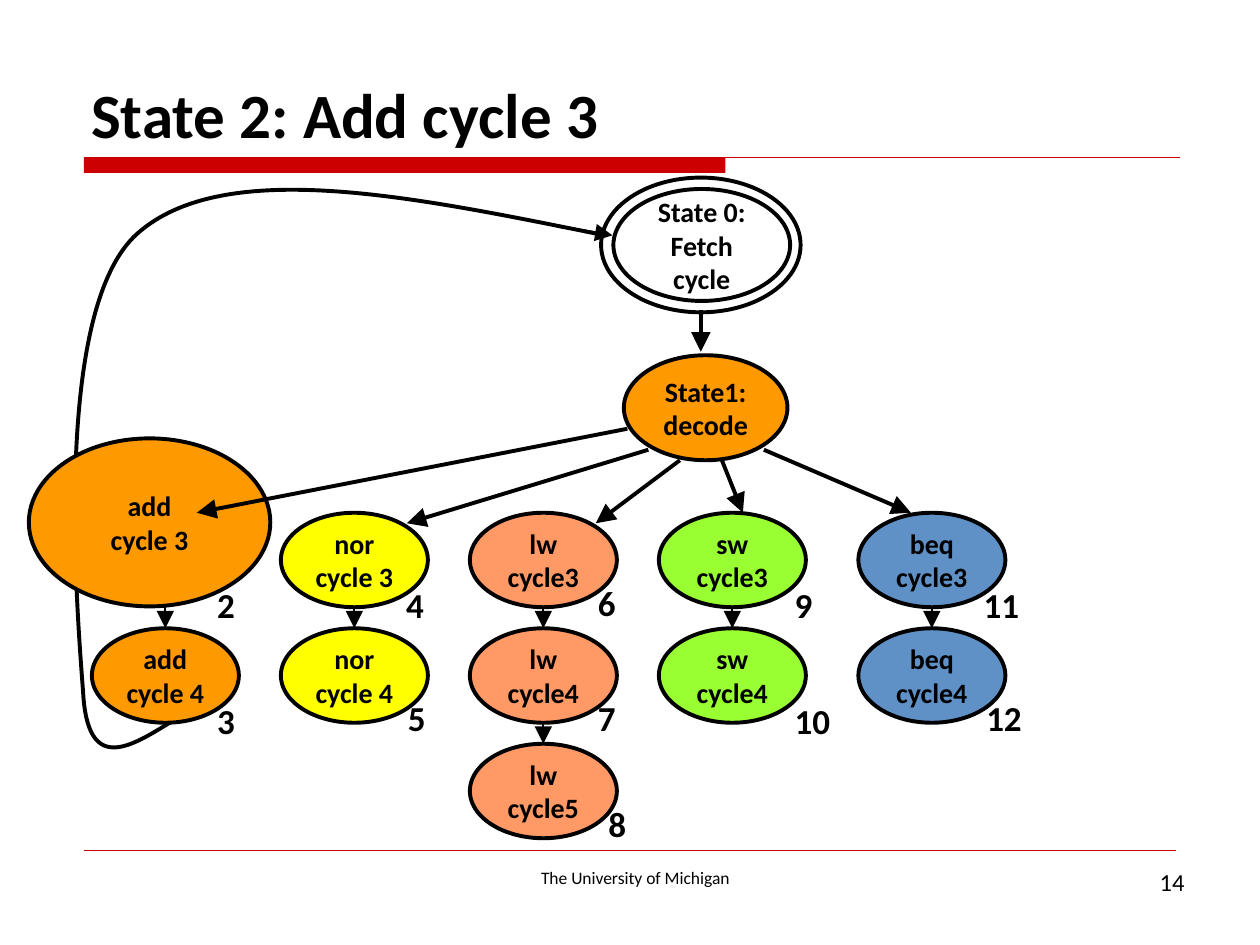
from lxml.etree import SubElement
from pptx import Presentation
from pptx.dml.color import RGBColor
from pptx.enum.shapes import MSO_CONNECTOR, MSO_SHAPE
from pptx.enum.text import MSO_ANCHOR, PP_ALIGN
from pptx.oxml.ns import qn
from pptx.util import Pt

BLACK = RGBColor(0x00, 0x00, 0x00)
WHITE = RGBColor(0xFF, 0xFF, 0xFF)
RED = RGBColor(0xCC, 0x00, 0x00)
ORANGE = RGBColor(0xFF, 0x99, 0x00)
YELLOW = RGBColor(0xFF, 0xFF, 0x00)
SALMON = RGBColor(0xFF, 0x99, 0x66)
GREEN = RGBColor(0x99, 0xFF, 0x33)
BLUE = RGBColor(0x5F, 0x91, 0xC7)

FONT = "Calibri"
NODE_WIDTH, NODE_HEIGHT = 84, 54
FIRST_ROW, ROW_STEP = 293, 66

INSTRUCTIONS = [
    (52.5, ORANGE, [None, "add\ncycle 4"]),
    (160.5, YELLOW, ["nor\ncycle 3", "nor\ncycle 4"]),
    (268.5, SALMON, ["lw\ncycle3", "lw\ncycle4", "lw\ncycle5"]),
    (376.5, GREEN, ["sw\ncycle3", "sw\ncycle4"]),
    (490.5, BLUE, ["beq\ncycle3", "beq\ncycle4"]),
]
LARGE_STATES = [
    ("add\ncycle 3", (16.5, 250.5, 138, 96), ORANGE),
    ("State 0:\nFetch cycle", (350.5, 108, 101, 64), None),
    ("", (343.5, 101.5, 114, 77), None),
    ("State1:\ndecode", (356.5, 203, 93.5, 60), ORANGE),
]
TRANSITIONS = [
    ((400.5, 177), (400.5, 201)),
    ((358.5, 245), (112.5, 293)),
    ((370.5, 257), (232.5, 299)),
    ((388.5, 263), (340.5, 299)),
    ((412.5, 263), (424.5, 293)),
    ((436.5, 257), (520.5, 293)),
]
STATE_NUMBERS = [
    ("2", 117, 330), ("3", 117, 396), ("4", 225, 330), ("5", 226, 394.5),
    ("6", 334.5, 329), ("7", 334.5, 394.5), ("8", 340.5, 455),
    ("9", 447, 330), ("10", 447, 396), ("11", 555, 330), ("12", 556.5, 394.5),
]
RETURN_CURVE = [
    (97, 413), (73.5, 427.5), (50, 442), (47.5, 395.5), (44, 348.5),
    (29.5, 177), (78.5, 133.5), (127.5, 90), (234, 112), (340.5, 133.5),
]


def write_text(shape, text, size=16, bold=True, align=PP_ALIGN.LEFT,
               anchor=MSO_ANCHOR.TOP, wrap=True):
    frame = shape.text_frame
    frame.word_wrap = wrap
    frame.vertical_anchor = anchor
    for index, line in enumerate(text.split("\n")):
        paragraph = frame.paragraphs[0] if index == 0 else frame.add_paragraph()
        paragraph.alignment = align
        run = paragraph.add_run()
        run.text = line
        run.font.name = FONT
        run.font.size = Pt(size)
        run.font.bold = bold
        run.font.color.rgb = BLACK


def add_label(slide, text, box, **text_format):
    write_text(slide.shapes.add_textbox(*map(Pt, box)), text, **text_format)


def add_state(slide, text, box, fill):
    shape = slide.shapes.add_shape(MSO_SHAPE.OVAL, *map(Pt, box))
    shape.shadow.inherit = False
    if fill is None:
        shape.fill.background()
    else:
        shape.fill.solid()
        shape.fill.fore_color.rgb = fill
    shape.line.color.rgb = BLACK
    shape.line.width = Pt(2.25)
    if text:
        write_text(shape, text, align=PP_ALIGN.CENTER, anchor=MSO_ANCHOR.MIDDLE)


def add_line(slide, start, end, width=2.25, color=BLACK, arrow=True):
    connector = slide.shapes.add_connector(
        MSO_CONNECTOR.STRAIGHT, *map(Pt, (*start, *end)))
    connector.line.color.rgb = color
    connector.line.width = Pt(width)
    if arrow:
        SubElement(connector.line._get_or_add_ln(), qn("a:tailEnd"),
                   type="triangle", w="lg", len="lg")
    SubElement(connector._element.spPr, qn("a:effectLst"))


def add_curve(slide, points):
    points = [(Pt(x), Pt(y)) for x, y in points]
    builder = slide.shapes.build_freeform(*points[0])
    builder.add_line_segments(points[1:], close=False)
    shape = builder.convert_to_shape()
    shape.shadow.inherit = False
    shape.fill.background()
    shape.line.color.rgb = BLACK
    shape.line.width = Pt(2.25)
    outline = next(shape._element.iter(qn("a:path")))
    segments = outline.findall(qn("a:lnTo"))
    for first in range(0, len(segments), 3):
        curve = SubElement(outline, qn("a:cubicBezTo"))
        for segment in segments[first:first + 3]:
            curve.append(segment[0])
            outline.remove(segment)


def add_frame(slide):
    bar = slide.shapes.add_shape(
        MSO_SHAPE.RECTANGLE, Pt(48), Pt(90), Pt(366.5), Pt(8.75))
    bar.shadow.inherit = False
    bar.fill.solid()
    bar.fill.fore_color.rgb = RED
    bar.line.fill.background()
    add_line(slide, (48, 90), (674.5, 90), width=0.75, color=RED, arrow=False)
    add_line(slide, (48, 486), (672, 486), width=0.25, color=RED, arrow=False)
    add_label(slide, "The University of Michigan", (228, 492, 270, 19.5),
              size=10, bold=False, align=PP_ALIGN.CENTER)
    add_label(slide, "14", (516, 492, 168, 37.5),
              size=14, bold=False, align=PP_ALIGN.RIGHT)
    add_label(slide, "State 2: Add cycle 3", (45, 24, 630, 66),
              size=36, anchor=MSO_ANCHOR.BOTTOM)


def add_instructions(slide):
    for left, color, cycles in INSTRUCTIONS:
        center = left + NODE_WIDTH / 2
        for row, text in enumerate(cycles):
            top = FIRST_ROW + row * ROW_STEP
            if text:
                add_state(slide, text, (left, top, NODE_WIDTH, NODE_HEIGHT), color)
            if row:
                previous_bottom = top - ROW_STEP + NODE_HEIGHT
                add_line(slide, (center, previous_bottom), (center, top), width=1)


def main():
    presentation = Presentation()
    presentation.slide_width, presentation.slide_height = Pt(720), Pt(540)
    slide = presentation.slides.add_slide(presentation.slide_layouts[6])
    slide.background.fill.solid()
    slide.background.fill.fore_color.rgb = WHITE
    add_frame(slide)
    add_curve(slide, RETURN_CURVE)
    for text, box, fill in LARGE_STATES:
        add_state(slide, text, box, fill)
    add_instructions(slide)
    for start, end in TRANSITIONS:
        add_line(slide, start, end)
    for number, left, top in STATE_NUMBERS:
        add_label(slide, number, (left, top, 13 + 11 * len(number), 31.5),
                  size=20, wrap=False)
    add_line(slide, (319.5, 129.5), (350, 134.5), width=1.5)
    presentation.save("out.pptx")


if __name__ == "__main__":
    main()
